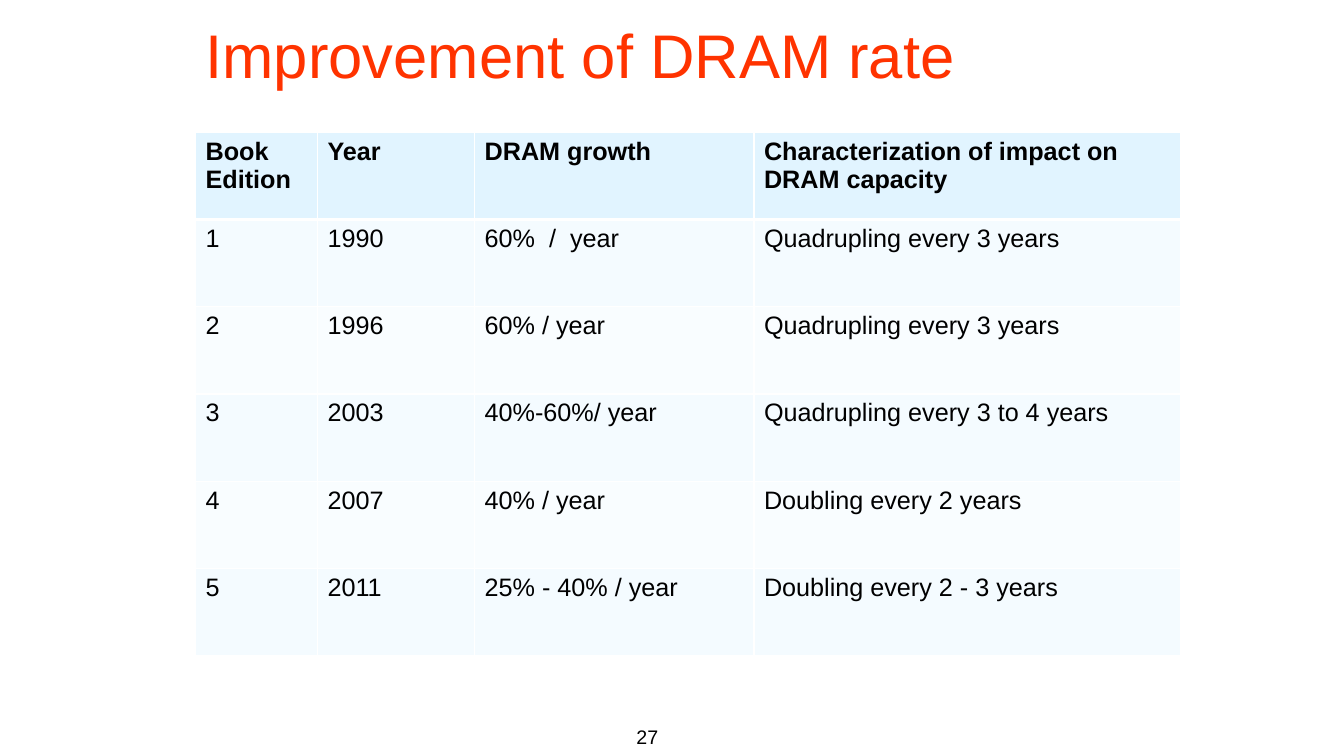
from dataclasses import dataclass

from lxml import etree
from pptx import Presentation
from pptx.dml.color import RGBColor
from pptx.enum.text import MSO_ANCHOR, PP_ALIGN
from pptx.oxml.ns import qn
from pptx.util import Cm, Pt

MIDDLE = MSO_ANCHOR.MIDDLE
LEFT, RIGHT = PP_ALIGN.LEFT, PP_ALIGN.RIGHT


@dataclass(frozen=True)
class Theme:
    font: str = "Arial"
    title: str = "FF3300"
    text: str = "000000"
    white: str = "FFFFFF"
    header: str = "E1F4FF"
    bands: tuple = ("F4FBFF", "F9FDFF")
    title_size: int = 44
    table_size: int = 18
    number_size: int = 14
    thin: int = 1
    thick: int = 3


theme = Theme()


def write(frame, text, size, color, bold=False, align=LEFT):
    frame.word_wrap = True
    frame.text = text
    para = frame.paragraphs[0]
    para.alignment = align
    font = para.runs[0].font
    font.name, font.size, font.bold = theme.font, Pt(size), bold
    font.color.rgb = RGBColor.from_string(color)


def set_border(cell, side, width):
    properties = cell._tc.get_or_add_tcPr()
    line = etree.SubElement(properties, qn(f"a:ln{side}"), w=str(Pt(width)))
    fill = etree.SubElement(line, qn("a:solidFill"))
    etree.SubElement(fill, qn("a:srgbClr"), val=theme.white)


deck = Presentation()
deck.slide_width, deck.slide_height = Cm(33.87), Cm(19.05)
page = deck.slides.add_slide(deck.slide_layouts[6])

# Page number
number_box = page.shapes.add_textbox(Cm(9.78), Cm(18.14), Cm(7.06), Cm(1.27))
write(number_box.text_frame, "27", theme.number_size, theme.text, align=RIGHT)

# Title
title_box = page.shapes.add_textbox(Cm(4.93), Cm(0), Cm(28.02), Cm(2.72))
title_box.fill.solid()
title_box.fill.fore_color.rgb = RGBColor.from_string(theme.white)
title_box.text_frame.vertical_anchor = MIDDLE
write(title_box.text_frame, "Improvement of DRAM rate", theme.title_size, theme.title)

# Table of DRAM growth by edition
growth_rows = [
    ("Book Edition", "Year", "DRAM growth", "Characterization of impact on DRAM capacity"),
    ("1", "1990", "60%  /  year", "Quadrupling every 3 years"),
    ("2", "1996", "60% / year", "Quadrupling every 3 years"),
    ("3", "2003", "40%-60%/ year", "Quadrupling every 3 to 4 years"),
    ("4", "2007", "40% / year", "Doubling every 2 years"),
    ("5", "2011", "25% - 40% / year", "Doubling every 2 - 3 years"),
]
column_widths = [3.07, 3.96, 7.04, 10.74]
row_height = 2.2

table = page.shapes.add_table(
    len(growth_rows), len(column_widths), Cm(4.93), Cm(3.33),
    Cm(sum(column_widths)), Cm(row_height * len(growth_rows)),
).table
for column, width in zip(table.columns, column_widths):
    column.width = Cm(width)

for row_index, texts in enumerate(growth_rows):
    table.rows[row_index].height = Cm(row_height)
    is_header = row_index == 0
    color = theme.header if is_header else theme.bands[(row_index - 1) % 2]
    top = theme.thick if row_index == 1 else theme.thin
    bottom = theme.thick if is_header else theme.thin
    for column_index, text in enumerate(texts):
        cell = table.cell(row_index, column_index)
        for side, width in (("L", theme.thin), ("R", theme.thin), ("T", top), ("B", bottom)):
            set_border(cell, side, width)
        cell.fill.solid()
        cell.fill.fore_color.rgb = RGBColor.from_string(color)
        write(cell.text_frame, text, theme.table_size, theme.text, bold=is_header)

deck.save("out.pptx")
